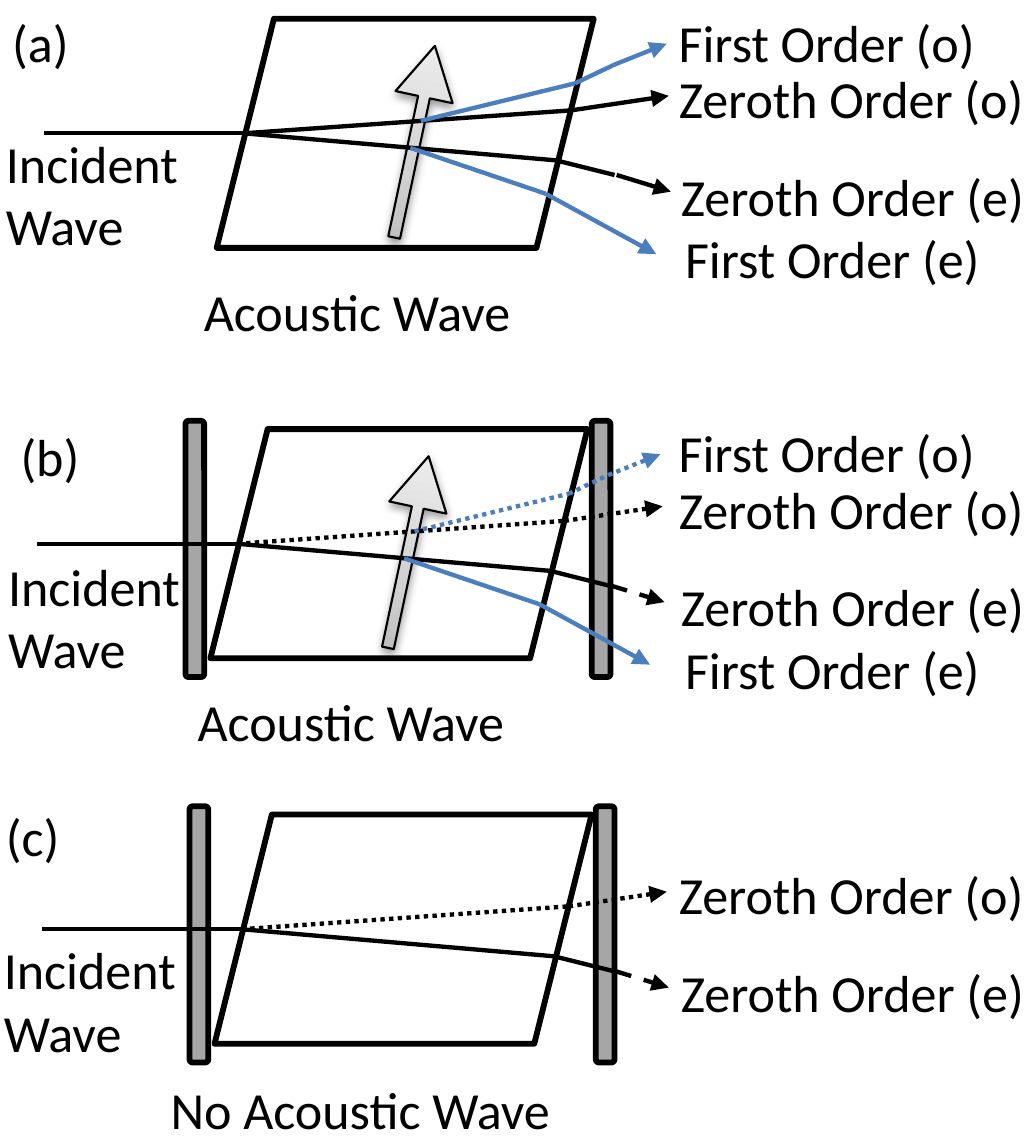
"""Draw three panels of acousto-optic diffraction with and without polarizers."""
from copy import deepcopy
from dataclasses import dataclass
from itertools import pairwise

from lxml.etree import SubElement
from pptx import Presentation
from pptx.dml.color import RGBColor as RGB
from pptx.enum.dml import MSO_LINE as Dash
from pptx.enum.shapes import MSO_CONNECTOR as Connector, MSO_SHAPE as Shape
from pptx.enum.text import MSO_AUTO_SIZE as AutoSize
from pptx.oxml.ns import qn
from pptx.util import Inches, Pt


@dataclass(frozen=True)
class Theme:
    black: RGB = RGB(0, 0, 0)
    white: RGB = RGB(255, 255, 255)
    plate: RGB = RGB(0xA6, 0xA6, 0xA6)
    blue: RGB = RGB(0x4B, 0x7E, 0xBC)
    gradient: tuple = ((0, "BDBDBD"), (0.35, "D1D1D1"), (1, "EEEEEE"))
    font: str = "Calibri"
    text_size: int = 18
    outline: float = 2
    arrow_outline: float = 0.75
    ray: float = 1.5


THEME = Theme()
DOT, DASH = Dash.ROUND_DOT, Dash.DASH
ENTRY = (0.13, 0.55)
FIRST_O = ((0.98, 0.49), (1.72, 0.31), (1.91, 0.22), (2.16, 0.12))
ZEROTH_O = (ENTRY, (1.7, 0.44), (2.17, 0.37))
ZEROTH_E = (ENTRY, (1.63, 0.68), (1.91, 0.75))
ZEROTH_E_EXIT = ((1.92, 0.75), (2.18, 0.83))
FIRST_E = ((0.93, 0.62), (1.58, 0.84), (2.11, 1.13))


@dataclass(frozen=True)
class Panel:
    letter: str
    left: float
    top: float
    letter_at: tuple
    incident_at: tuple
    acoustic: bool = True
    polarized: bool = True


PANELS = (
    Panel("(a)", 1.04, 0.09, (-0.04, 0), (-0.07, 0.58), polarized=False),
    Panel("(b)", 1.01, 2.06, (0, 1.99), (-0.06, 2.61)),
    Panel("(c)", 1.03, 3.91, (-0.07, 3.81), (-0.08, 4.45), acoustic=False),
)


def write(text_frame, text, *, size=THEME.text_size, color=THEME.black, wrap=False):
    text_frame.word_wrap = wrap
    text_frame.auto_size = AutoSize.SHAPE_TO_FIT_TEXT
    run = text_frame.paragraphs[0].add_run()
    run.text = text
    run.font.name = THEME.font
    run.font.size = Pt(size)
    run.font.color.rgb = color


@dataclass
class Diagram:
    slide: object
    theme: Theme = THEME

    def label(self, text, left, top, width, height=0.4, **text_format):
        box = self.slide.shapes.add_textbox(*map(Inches, (left, top, width, height)))
        write(box.text_frame, text, **text_format)

    def block(self, kind, left, top, width, height, fill=None, outline=THEME.outline):
        shape = self.slide.shapes.add_shape(kind, *map(Inches, (left, top, width, height)))
        shape.shadow.inherit = False
        shape.line.color.rgb = self.theme.black
        shape.line.width = Pt(outline)
        if fill is not None:
            shape.fill.solid()
            shape.fill.fore_color.rgb = fill
        return shape

    def sound_arrow(self, left, top):
        arrow = self.block(Shape.UP_ARROW, left, top, 0.28, 0.94,
                           outline=self.theme.arrow_outline)
        arrow.rotation = 12
        arrow.adjustments[0], arrow.adjustments[1] = 0.205, 0.899
        arrow.fill.gradient()
        arrow.fill.gradient_angle = 90
        properties = arrow._element.spPr
        stop_list = properties.find(".//" + qn("a:gsLst"))
        stop_list.insert(1, deepcopy(stop_list[0]))
        for stop, (position, color) in zip(arrow.fill.gradient_stops, self.theme.gradient):
            stop.position = position
            stop.color.rgb = RGB.from_string(color)
        shadow = SubElement(properties.find(qn("a:effectLst")), qn("a:outerShdw"),
                            blurRad=str(Pt(3.1)), dist=str(Pt(1.6)),
                            dir="5400000", rotWithShape="0")
        color = SubElement(shadow, qn("a:srgbClr"), val=str(self.theme.black))
        SubElement(color, qn("a:alpha"), val="38000")

    def ray(self, points, color=THEME.black, dash=None, arrow=True):
        for start, end in pairwise(points):
            line = self.slide.shapes.add_connector(
                Connector.STRAIGHT, *map(Inches, (*start, *end)))
            line.line.color.rgb = color
            line.line.width = Pt(self.theme.ray)
            if dash is not None:
                line.line.dash_style = dash
            if arrow and end == points[-1]:
                SubElement(line.line._get_or_add_ln(), qn("a:tailEnd"), type="triangle")
            SubElement(line._element.spPr, qn("a:effectLst"))

    def panel(self, panel):
        left, top = panel.left, panel.top

        def place(points):
            return [(left + x, top + y) for x, y in points]

        if panel.polarized:
            for offset in (-0.12, 1.83):
                self.block(Shape.ROUNDED_RECTANGLE, left + offset, top - 0.04,
                           0.09, 1.23, self.theme.plate)
        self.block(Shape.PARALLELOGRAM, left, top, 1.81, 1.1, self.theme.white)
        if panel.acoustic:
            self.sound_arrow(left + 0.81, top + 0.12)

        ordinary_dash = DOT if panel.polarized else None
        exit_dash = DASH if panel.polarized else None
        self.ray(place((ENTRY, (-0.83, 0.55))), arrow=False)
        self.ray(place(ZEROTH_E), arrow=False)
        self.ray(place(ZEROTH_E_EXIT), dash=exit_dash)
        self.ray(place(ZEROTH_O), dash=ordinary_dash)
        self.label("Zeroth Order (o)", 3.16, top + 0.18, 1.88)
        self.label("Zeroth Order (e)", 3.17, top + 0.65, 1.87)
        if panel.acoustic:
            self.ray(place(FIRST_E), self.theme.blue)
            self.ray(place(FIRST_O), self.theme.blue, ordinary_dash)
            self.label("First Order (o)", 3.16, top - 0.09, 1.64)
            self.label("First Order (e)", 3.19, top + 0.95, 1.63)
            self.label("Acoustic Wave", left - 0.16, top + 1.2, 1.69)
        else:
            self.label("No Acoustic Wave", left - 0.31, top + 1.21, 2.05)
        self.label("Incident Wave", *panel.incident_at, 1.08, 0.71, wrap=True)
        self.label(panel.letter, *panel.letter_at, 1.08, wrap=True)


def main():
    presentation = Presentation()
    presentation.slide_width, presentation.slide_height = Inches(4.92), Inches(5.51)
    diagram = Diagram(presentation.slides.add_slide(presentation.slide_layouts[6]))
    for panel in PANELS:
        diagram.panel(panel)
    presentation.save("out.pptx")


if __name__ == "__main__":
    main()
